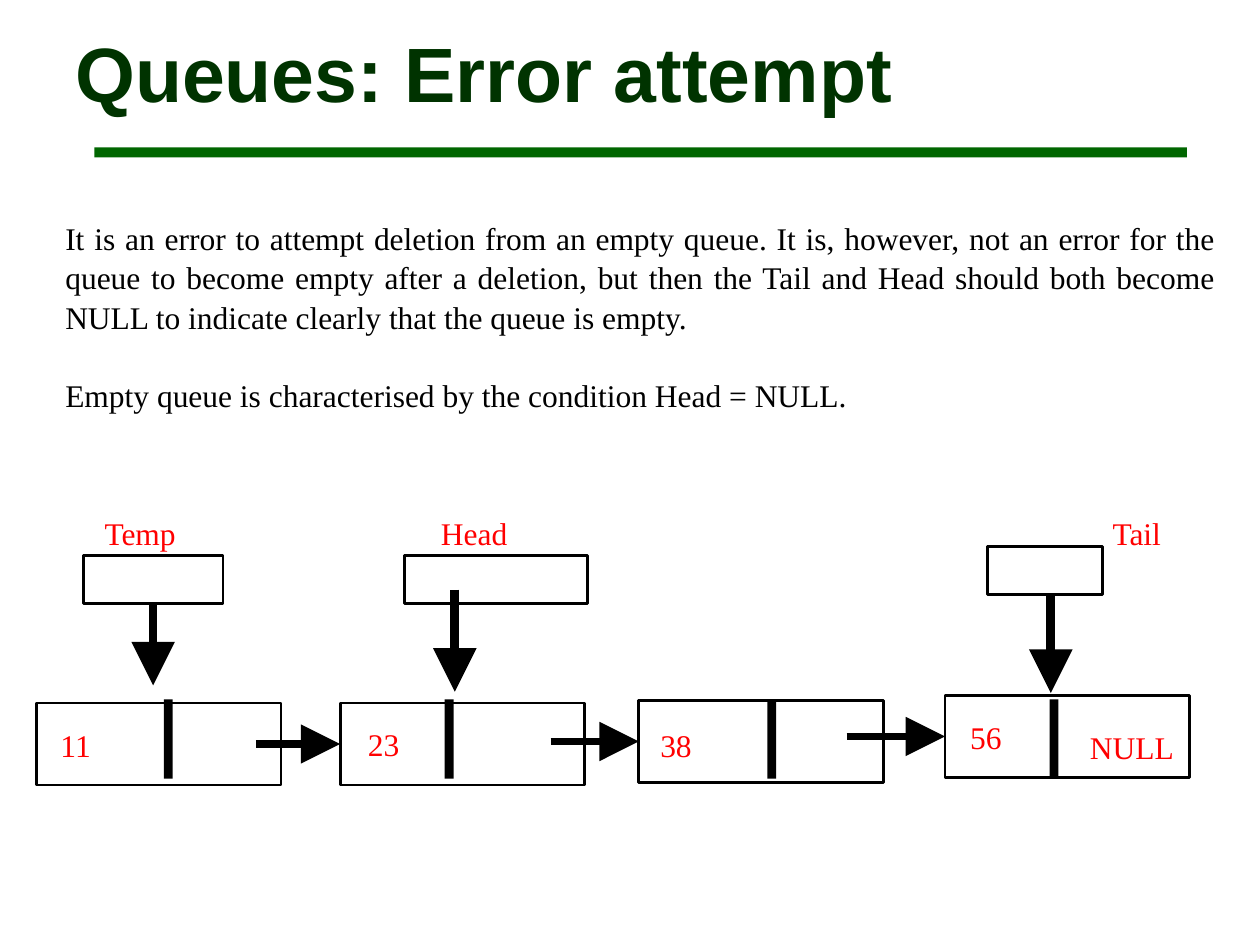
import pptx
import pptx.util
import pptx.dml.color
import pptx.enum.shapes
import pptx.enum.text
import pptx.oxml.ns
import lxml.etree

Inches = pptx.util.Inches
Pt = pptx.util.Pt
RGB = pptx.dml.color.RGBColor.from_string
RECTANGLE = pptx.enum.shapes.MSO_SHAPE.RECTANGLE
STRAIGHT = pptx.enum.shapes.MSO_CONNECTOR.STRAIGHT
ALIGN = pptx.enum.text.PP_ALIGN
ANCHOR = pptx.enum.text.MSO_ANCHOR

theme = {
    "title": {"name": "Arial", "size": Pt(44), "bold": True, "color": "003300"},
    "body": {"name": "Times New Roman", "size": Pt(18), "color": "000000"},
    "label": {"name": "Times New Roman", "size": Pt(18), "color": "FF0000"},
    "rule": "006600",
    "ink": "000000",
    "paper": "FFFFFF",
    "outline": Pt(1.62),
}

deck = pptx.Presentation()
deck.slide_width, deck.slide_height = Inches(10), Inches(7.5)
slide = deck.slides.add_slide(deck.slide_layouts[6])


def add_box(left, top, width, height, fill, outlined=False):
    box = slide.shapes.add_shape(RECTANGLE, *map(Inches, (left, top, width, height)))
    box.shadow.inherit = False
    box.fill.solid()
    box.fill.fore_color.rgb = RGB(fill)
    if outlined:
        box.line.color.rgb = RGB(theme["ink"])
        box.line.width = theme["outline"]
    else:
        box.line.fill.background()
    return box


def add_text(left, top, width, height, paragraphs, style, margins=(0, 0), **layout):
    frame = slide.shapes.add_textbox(*map(Inches, (left, top, width, height))).text_frame
    across, down = map(Inches, margins)
    frame_format = {
        "word_wrap": True, "margin_left": across, "margin_right": across,
        "margin_top": down, "margin_bottom": down,
        "vertical_anchor": layout.pop("anchor", ANCHOR.TOP),
    }
    for attribute, value in frame_format.items():
        setattr(frame, attribute, value)
    frame.text = "\n".join(paragraphs)
    for paragraph in frame.paragraphs:
        for attribute, value in layout.items():
            setattr(paragraph, attribute, value)
        for attribute, value in theme[style].items():
            if attribute == "color":
                paragraph.font.color.rgb = RGB(value)
            else:
                setattr(paragraph.font, attribute, value)
    return frame


add_box(0.75, 1.17, 8.67, 0.08, theme["rule"])
add_text(0.5, 0.22, 9, 0.7, ["Queues: Error attempt"], "title", (0.1, 0.05), anchor=ANCHOR.MIDDLE)

explanation = add_text(
    0.42, 1.67, 9.33, 3.88,
    [
        "It is an error to attempt deletion from an empty queue. It is, however, not an error "
        "for the queue to become empty after a deletion, but then the Tail and Head should both "
        "become NULL to indicate clearly that the queue is empty.",
        "Empty queue is characterised by the condition Head = NULL.",
    ],
    "body", (0.1, 0.05), alignment=ALIGN.JUSTIFY, line_spacing=1.05,
)
explanation.paragraphs[1].space_before = Pt(21.7)

nodes = []
for value, left, top, divider, value_left, value_top in [
    ("11", 0.29, 5.58, 1.3, 0.48, 5.76),
    ("23", 2.7, 5.58, 3.53, 2.92, 5.75),
    ("38", 5.07, 5.56, 6.09, 5.24, 5.76),
    ("56", 7.5, 5.52, 8.33, 7.7, 5.7),
]:
    nodes.append(add_box(left, top, 1.94, 0.65, theme["paper"], outlined=True))
    add_box(divider, 5.55, 0.07, 0.63, theme["ink"])
    add_text(value_left, value_top, 0.42, 0.29, [value], "label")
add_text(8.65, 5.78, 0.89, 0.33, ["NULL"], "label")

arrows = []
for link_left, target in zip((2.03, 4.37, 6.72), nodes[1:]):
    middle = target.top + target.height // 2
    link = slide.shapes.add_connector(STRAIGHT, Inches(link_left), middle, target.left, middle)
    link.end_connect(target, 1)
    arrows.append((link, Pt(4.5)))

for name, name_left, left, top, width, arrow_x, arrow_top, arrow_tip in [
    ("Temp", 0.83, 0.66, 4.41, 1.11, 1.215, 4.79, 5.44),
    ("Head", 3.5, 3.21, 4.41, 1.45, 3.61, 4.68, 5.49),
    ("Tail", 8.83, 7.84, 4.34, 0.91, 8.34, 4.72, 5.5),
]:
    pointer = add_box(left, top, width, 0.38, theme["paper"], outlined=True)
    add_text(name_left, 4.08, 0.84, 0.29, [name], "label")
    arrow = slide.shapes.add_connector(
        STRAIGHT, *map(Inches, (arrow_x, arrow_top, arrow_x, arrow_tip))
    )
    if name == "Temp":
        arrow.begin_connect(pointer, 2)
    arrows.append((arrow, Pt(5)))

for arrow, thickness in arrows:
    arrow.line.color.rgb = RGB(theme["ink"])
    arrow.line.width = thickness
    lxml.etree.SubElement(
        arrow.line._get_or_add_ln(), pptx.oxml.ns.qn("a:tailEnd"), type="triangle", w="lg", len="lg"
    )
    lxml.etree.SubElement(arrow._element.spPr, pptx.oxml.ns.qn("a:effectLst"))

deck.save("out.pptx")
